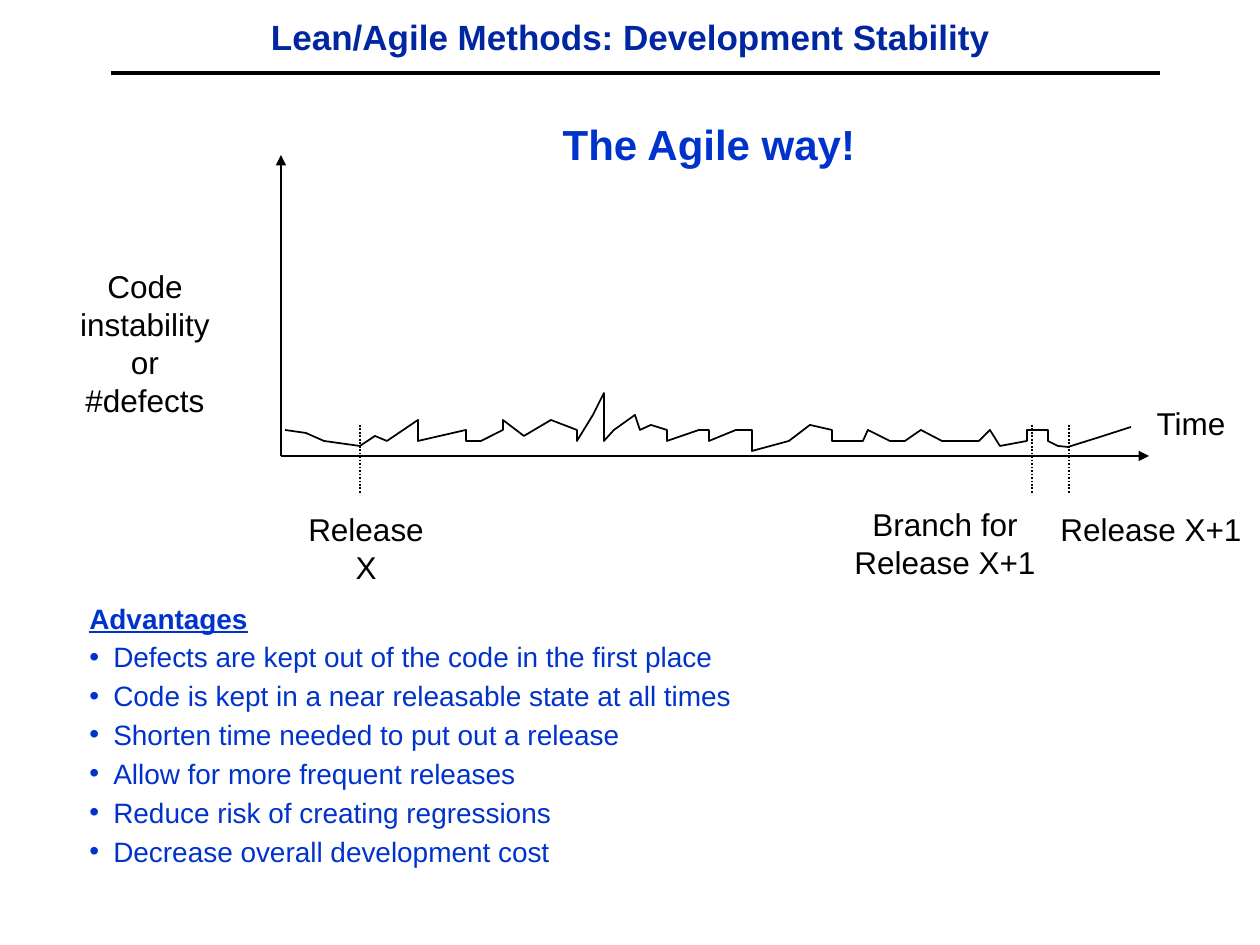
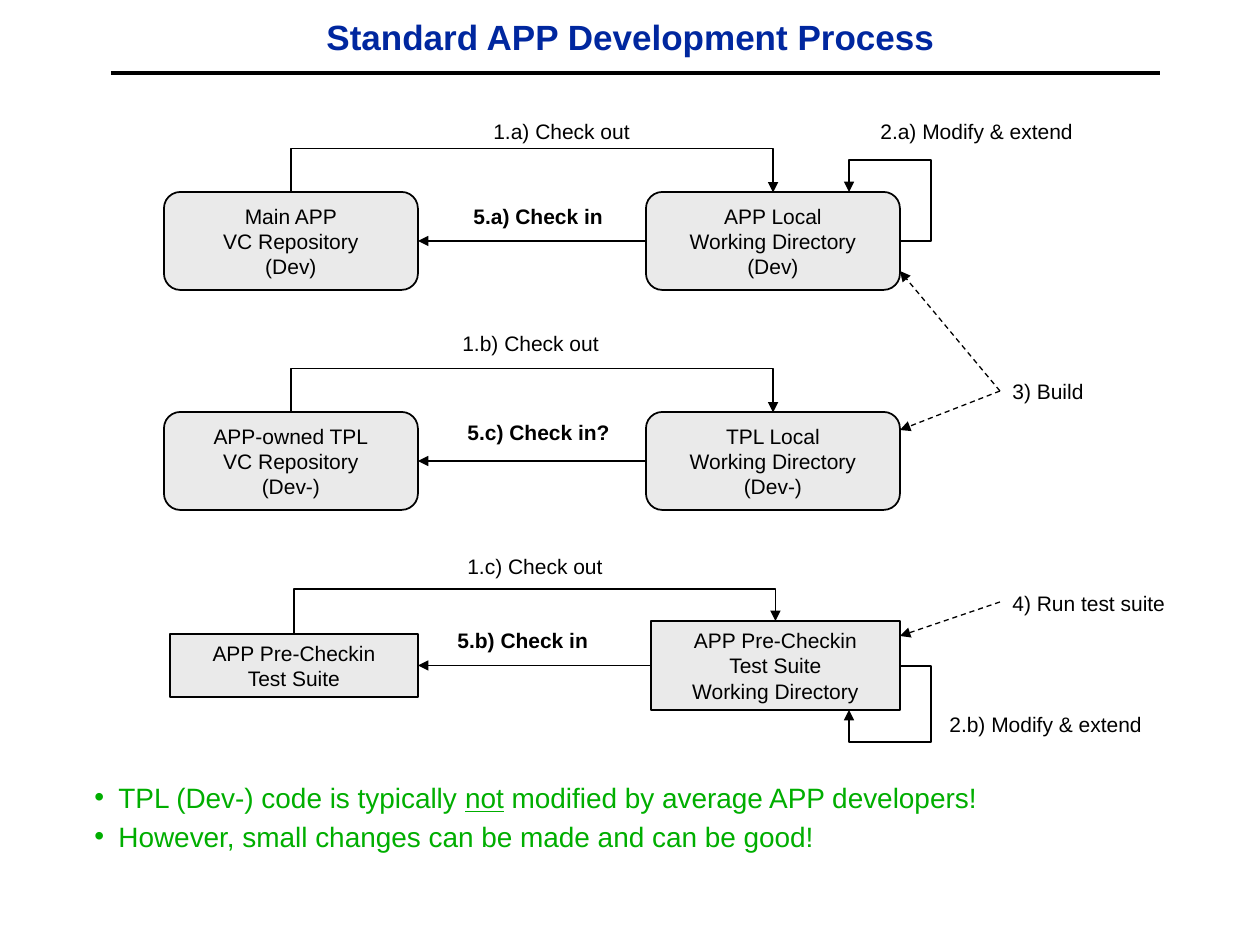
from dataclasses import dataclass

import lxml.etree
import pptx
import pptx.dml.color
import pptx.enum.dml
import pptx.enum.shapes
import pptx.enum.text
import pptx.oxml.ns
import pptx.util

EMU_PER_PX = 914400 / 126
SLIDE_SIZE = (1260, 945)
ALIGN = pptx.enum.text.PP_ALIGN
ANCHOR = pptx.enum.text.MSO_ANCHOR
SHAPE = pptx.enum.shapes.MSO_SHAPE
CONNECTOR = pptx.enum.shapes.MSO_CONNECTOR
DASH = pptx.enum.dml.MSO_LINE
qn = pptx.oxml.ns.qn
TOP, LEFT, BOTTOM, RIGHT = range(4)


@dataclass(frozen=True)
class Theme:
    font: str = "Arial"
    ink: str = "000000"
    title: str = "00279F"
    agile: str = "0033CC"
    note: str = "00AE00"
    box: str = "EAEAEA"
    title_size: int = 20
    headline_size: int = 24
    axis_size: int = 18
    body_size: int = 16
    label_size: int = 12
    rule: float = 2
    outline: float = 1
    flow: float = 0.75


def px(length):
    return pptx.util.Emu(round(length * EMU_PER_PX))


def rgb(value):
    return pptx.dml.color.RGBColor.from_string(value)


def sub(parent, tag, **attributes):
    return lxml.etree.SubElement(parent, qn(tag), attributes)


class Deck:
    """Holds the theme and the slide being drawn; all lengths are px."""

    def __init__(self, theme):
        self.theme = theme
        self.presentation = pptx.Presentation()
        self.presentation.slide_width, self.presentation.slide_height = map(px, SLIDE_SIZE)

    def new_slide(self, title):
        blank = self.presentation.slide_layouts[6]
        self.shapes = self.presentation.slides.add_slide(blank).shapes
        self.line((111, 73), (1160, 73), self.theme.rule)
        self.text((95, 10, 1071, 53), title, self.theme.title_size, self.theme.title,
                  bold=True, anchor=ANCHOR.MIDDLE)

    def style_run(self, run, size, color, bold=False, underline=False):
        run.font.name = self.theme.font
        run.font.size = pptx.util.Pt(size)
        run.font.color.rgb = rgb(color)
        run.font.bold = bold
        run.font.underline = underline

    def fill_text(self, frame, text, size, color, bold=False, align=ALIGN.CENTER):
        frame.text = text
        for paragraph in frame.paragraphs:
            paragraph.alignment = align
            for run in paragraph.runs:
                self.style_run(run, size, color, bold)

    def text(self, place, text, size, color=None, bold=False, align=ALIGN.CENTER,
             anchor=ANCHOR.TOP, wrap=True):
        frame = self.shapes.add_textbox(*map(px, place)).text_frame
        frame.word_wrap = wrap
        frame.vertical_anchor = anchor
        self.fill_text(frame, text, size, color or self.theme.ink, bold, align)

    def label(self, left, top, width, text, bold=False):
        self.text((left, top, width, 38), text, self.theme.label_size, bold=bold,
                  align=ALIGN.LEFT)

    def bullets(self, place, color, items, heading=None):
        """Each item is a tuple of pieces; every second piece is underlined."""
        frame = self.shapes.add_textbox(*map(px, place)).text_frame
        frame.word_wrap = True
        rows = [(heading,)] if heading else []
        rows += items
        for index, pieces in enumerate(rows):
            paragraph = frame.add_paragraph() if index else frame.paragraphs[0]
            is_heading = bool(heading) and index == 0
            properties = paragraph._p.get_or_add_pPr()
            properties.set("marL", str(px(48)))
            properties.set("indent", str(-px(24)))
            if not is_heading:
                sub(sub(properties, "a:buClr"), "a:srgbClr", val=color)
                sub(properties, "a:buFont", typeface=self.theme.font)
                sub(properties, "a:buChar", char="•")
            paragraph.space_after = pptx.util.Pt(3)
            for number, piece in enumerate(pieces):
                run = paragraph.add_run()
                run.text = piece
                self.style_run(run, self.theme.body_size, color, is_heading,
                               is_heading or number % 2 == 1)

    def box(self, kind, place, text):
        box = self.shapes.add_shape(kind, *map(px, place))
        box.shadow.inherit = False
        box.fill.solid()
        box.fill.fore_color.rgb = rgb(self.theme.box)
        self.stroke(box, self.theme.outline)
        box.text_frame.word_wrap = True
        box.text_frame.vertical_anchor = ANCHOR.MIDDLE
        self.fill_text(box.text_frame, text, self.theme.label_size, self.theme.ink)
        return box

    def stroke(self, shape, width, arrow=False, dash=None):
        shape.line.color.rgb = rgb(self.theme.ink)
        shape.line.width = pptx.util.Pt(width)
        if dash:
            shape.line.dash_style = dash
        if arrow:
            sub(shape._element.spPr.find(qn("a:ln")), "a:tailEnd", type="triangle")

    def connector(self, kind, start, end, width, arrow, dash=None):
        connector = self.shapes.add_connector(kind, *map(px, (*start, *end)))
        self.stroke(connector, width, arrow, dash)
        sub(connector._element.spPr, "a:effectLst")
        return connector

    def line(self, start, end, width, arrow=False, dash=None):
        return self.connector(CONNECTOR.STRAIGHT, start, end, width, arrow, dash)

    def join(self, source, source_side, target, target_side):
        arrow = self.line((0, 0), (0, 0), self.theme.flow, arrow=True)
        arrow.begin_connect(source, source_side)
        arrow.end_connect(target, target_side)

    def arch(self, source, target, peak):
        """Elbow arrow from top to top, with its crossbar at height peak."""
        arrow = self.connector(CONNECTOR.ELBOW, (0, 0), (0, 0), self.theme.flow, True)
        arrow.begin_connect(source, TOP)
        arrow.end_connect(target, TOP)
        start_x, end_x = (box.left + box.width // 2 for box in (source, target))
        climbs = target.top < source.top
        depth = max(abs(target.top - source.top), px(1))
        span = end_x - start_x
        arrow.left = (start_x + end_x - depth) // 2
        arrow.top = (source.top + target.top - span) // 2
        arrow.width, arrow.height = depth, span
        frame = arrow._element.spPr.find(qn("a:xfrm"))
        frame.set("rot", str((90 if climbs else 270) * 60000))
        frame.set("flipH", "1")
        frame.set("flipV", "1" if climbs else "0")
        bend = round((source.top - px(peak)) / depth * 100000) * (1 if climbs else -1)
        guides = arrow._element.spPr.find(qn("a:prstGeom")).find(qn("a:avLst"))
        sub(guides, "a:gd", name="adj1", fmla=f"val {bend}")

    def polyline(self, points, width, arrow=False):
        builder = self.shapes.build_freeform(*points[0], scale=EMU_PER_PX)
        builder.add_line_segments(points[1:], close=False)
        outline = builder.convert_to_shape()
        outline.shadow.inherit = False
        outline.fill.background()
        self.stroke(outline, width, arrow)


INSTABILITY = [
    (285, 430), (306, 433), (324, 441), (360, 446), (375, 436), (387, 441), (418, 420),
    (418, 441), (466, 430), (466, 441), (481, 441), (503, 430), (503, 420), (524, 436),
    (551, 420), (577, 430), (577, 441), (593, 415), (604, 393), (604, 441), (614, 430),
    (635, 415), (640, 430), (651, 425), (667, 430), (667, 441), (699, 430), (709, 430),
    (709, 441), (736, 430), (752, 430), (752, 451), (789, 441), (810, 425), (832, 430),
    (832, 441), (863, 441), (868, 430), (890, 441), (905, 441), (921, 430), (942, 441),
    (979, 441), (990, 430), (1000, 446), (1027, 441), (1027, 430), (1048, 430),
    (1048, 441), (1058, 446), (1068, 447), (1100, 437), (1131, 427),
]


def stability_slide(deck):
    theme = deck.theme
    deck.new_slide("Lean/Agile Methods: Development Stability")
    origin = (281, 456)
    for axis_end in ((281, 155), (1149, 456)):
        deck.line(origin, axis_end, theme.outline, arrow=True)
    for release_x in (360, 1032, 1069):
        deck.line((release_x, 425), (release_x, 494), theme.outline, dash=DASH.ROUND_DOT)
    deck.polyline(INSTABILITY, theme.outline)

    deck.text((1143, 398, 96, 50), "Time", theme.axis_size)
    for place, caption in (
        ((26, 261, 238, 164), "Code instability\nor\n#defects"),
        ((281, 504, 170, 50), "Release X"),
        ((842, 499, 206, 88), "Branch for\nRelease X+1"),
        ((1048, 504, 206, 50), "Release X+1"),
    ):
        deck.text(place, caption, theme.axis_size, wrap=False)
    deck.text((550, 112, 318, 63), "The Agile way!", theme.headline_size, theme.agile,
              bold=True, wrap=False)
    deck.bullets((53, 595, 921, 278), theme.agile, [
        ("Defects are kept out of the code in the first place",),
        ("Code is kept in a near releasable state at all times",),
        ("Shorten time needed to put out a release",),
        ("Allow for more frequent releases",),
        ("Reduce risk of creating regressions",),
        ("Decrease overall development cost",),
    ], heading="Advantages")


def process_slide(deck):
    theme = deck.theme
    deck.new_slide("Standard APP Development Process")
    rounded, square = SHAPE.ROUNDED_RECTANGLE, SHAPE.RECTANGLE
    for kind, repository_place, repository, working_place, working, peak in (
        (rounded, (164, 192, 254, 98), "Main APP\nVC Repository\n(Dev)",
         (646, 192, 254, 98), "APP Local\nWorking Directory\n(Dev)", 149),
        (rounded, (164, 412, 254, 98), "APP-owned TPL\nVC Repository\n(Dev-)",
         (646, 412, 254, 98), "TPL Local\nWorking Directory\n(Dev-)", 369),
        (square, (170, 634, 248, 63), "APP Pre-Checkin\nTest Suite",
         (651, 621, 249, 89), "APP Pre-Checkin\nTest Suite\nWorking Directory", 589),
    ):
        repository_box = deck.box(kind, repository_place, repository)
        working_box = deck.box(kind, working_place, working)
        deck.arch(repository_box, working_box, peak)
        deck.join(working_box, LEFT, repository_box, RIGHT)

    for side_y, turn_y, edge_y in ((241, 160, 192), (666, 742, 710)):
        deck.polyline([(900, side_y), (931, side_y), (931, turn_y), (849, turn_y),
                       (849, edge_y)], theme.flow, arrow=True)
    for start_y, end_y in ((391, 271), (391, 430), (602, 636)):
        deck.line((1000, start_y), (900, end_y), theme.flow, arrow=True, dash=DASH.DASH)

    for left, top, width, step in (
        (481, 112, 165, "1.a) Check out"),
        (450, 324, 165, "1.b) Check out"),
        (455, 547, 165, "1.c) Check out"),
        (868, 112, 238, "2.a) Modify & extend"),
        (937, 705, 238, "2.b) Modify & extend"),
        (1000, 372, 137, "3) Build"),
        (1000, 584, 190, "4) Run test suite"),
    ):
        deck.label(left, top, width, step)
    for left, top, step in (
        (461, 197, "5.a) Check in"),
        (445, 621, "5.b) Check in"),
        (455, 413, "5.c) Check in?"),
    ):
        deck.label(left, top, 180, step, bold=True)
    deck.bullets((58, 774, 974, 84), theme.note, [
        ("TPL (Dev-) code is typically ", "not", " modified by average APP developers!"),
        ("However, small changes can be made and can be good!",),
    ])


def main():
    deck = Deck(Theme())
    stability_slide(deck)
    process_slide(deck)
    deck.presentation.save("out.pptx")


if __name__ == "__main__":
    main()
